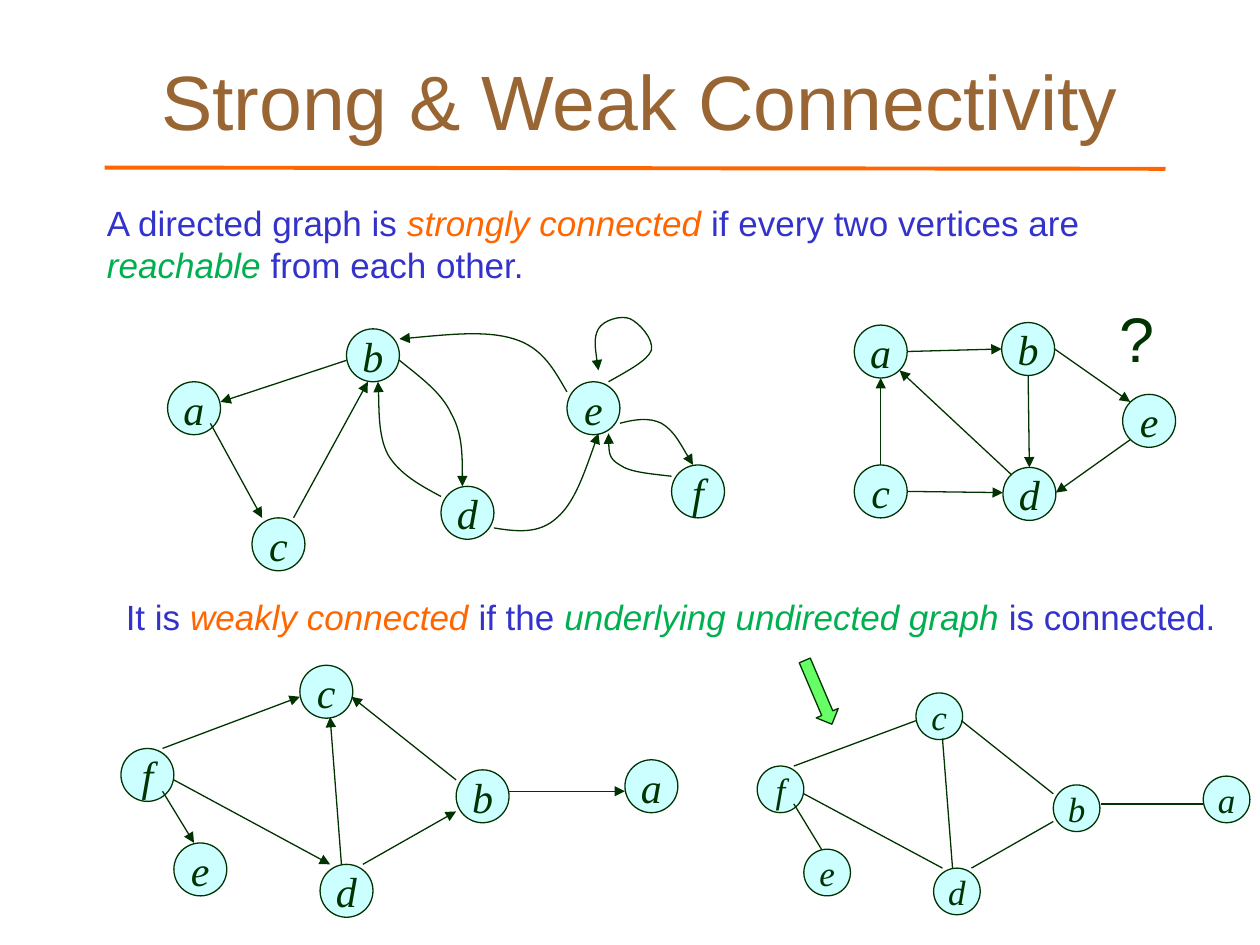
from lxml import etree
from pptx import Presentation
from pptx import util as u
from pptx.dml.color import RGBColor
from pptx.enum import shapes, text
from pptx.oxml.ns import qn

PX = 9144  # EMU per px, 100 px to the inch


class Theme:
    title = RGBColor(0x99, 0x66, 0x33)
    accent = RGBColor(0xFF, 0x66, 0x00)
    body = RGBColor(0x33, 0x33, 0xCC)
    term = RGBColor(0x00, 0xB0, 0x50)
    ink = RGBColor(0x00, 0x33, 0x00)
    node = RGBColor(0xCC, 0xFF, 0xFF)
    pointer = RGBColor(0x66, 0xFF, 0x66)
    sans, serif = "Arial", "Times New Roman"
    title_size, mark_size, node_size, body_size = 44, 36, 24, 20
    thin, thick = 0.75, 2.25


def write(frame, paragraphs, size, font=Theme.sans, align=text.PP_ALIGN.LEFT,
          anchor=text.MSO_ANCHOR.TOP, wrap=False, fit=text.MSO_AUTO_SIZE.NONE):
    """Fill a text frame; each paragraph is a list of (words, colour, italic)."""
    frame.word_wrap, frame.auto_size, frame.vertical_anchor = wrap, fit, anchor
    for index, spans in enumerate(paragraphs):
        para = frame.add_paragraph() if index else frame.paragraphs[0]
        para.alignment = align
        for words, color, italic in spans:
            span = para.add_run()
            span.text = words
            span.font.size, span.font.name = u.Pt(size), font
            span.font.color.rgb, span.font.italic = color, italic


def stroke(shape, color=Theme.ink, width=Theme.thin, arrow=False):
    """Set the outline, drop the shadow and add an optional arrowhead at the end."""
    shape.line.color.rgb = color
    shape.line.width = u.Pt(width)
    properties = shape._element.spPr
    if arrow:
        etree.SubElement(properties.find(qn("a:ln")), qn("a:tailEnd"), type="triangle")
    etree.SubElement(properties, qn("a:effectLst"))


deck = Presentation()
deck.slide_width, deck.slide_height = 1000 * PX, 750 * PX
page = deck.slides.add_slide(deck.slide_layouts[5])

# Title and rule
title = page.shapes.title
title.left, title.top, title.width, title.height = (v * PX for v in (83, 17, 850, 125))
write(title.text_frame, [[("Strong & Weak Connectivity", Theme.title, False)]],
      Theme.title_size, align=text.PP_ALIGN.CENTER,
      anchor=text.MSO_ANCHOR.MIDDLE, wrap=True)
rule = page.shapes.add_connector(shapes.MSO_CONNECTOR.STRAIGHT,
                                 83 * PX, 133 * PX, 925 * PX, 134 * PX)
stroke(rule, Theme.accent, Theme.thick)

# Definitions and question mark
statements = [
    ((75, 155, 799, 77), Theme.body_size, [
        [("A directed graph is ", Theme.body, False),
         ("strongly connected", Theme.accent, True),
         (" if every two vertices are", Theme.body, False)],
        [("reachable", Theme.term, True),
         (" from each other.", Theme.body, False)]]),
    ((90, 468, 890, 43), Theme.body_size, [
        [("It is ", Theme.body, False),
         ("weakly connected", Theme.accent, True),
         (" if the ", Theme.body, False),
         ("underlying undirected graph", Theme.term, True),
         (" is connected.", Theme.body, False)]]),
    ((879, 233, 48, 71), Theme.mark_size, [[("?", Theme.ink, False)]]),
]
for place, size, paragraphs in statements:
    box = page.shapes.add_textbox(*(v * PX for v in place))
    write(box.text_frame, paragraphs, size, fit=text.MSO_AUTO_SIZE.SHAPE_TO_FIT_TEXT)

# Graphs: vertices by top-left corner, edges by end points,
# curves by a start point followed by Bezier triples
strong = dict(
    vertices={"c": (200, 411), "d": (350, 386), "a": (133, 303),
              "f": (533, 369), "e": (450, 303), "b": (275, 261)},
    edges=[(275, 286, 175, 319), (167, 336, 208, 411), (233, 411, 292, 303)],
    curves=[
        [(350, 394), (333, 385), (317, 376), (308, 361), (300, 346), (301, 312), (300, 303)],
        [(317, 286), (333, 299), (350, 311), (358, 328), (367, 344), (367, 365), (367, 386)],
        [(392, 419), (410, 422), (428, 424), (442, 411), (456, 399), (465, 372), (475, 344)],
        [(450, 311), (440, 294), (431, 276), (408, 269), (386, 262), (351, 266), (317, 269)],
        [(533, 378), (517, 376), (500, 375), (492, 369), (483, 364), (483, 354), (483, 344)],
        [(492, 336), (503, 333), (515, 331), (525, 336), (535, 342), (542, 356), (550, 369)],
        [(483, 303), (499, 294), (514, 286), (517, 278), (519, 269), (507, 256), (500, 253),
         (493, 250), (479, 254), (475, 261), (471, 268), (473, 281), (475, 294)],
    ])
weak = dict(
    vertices={"f": (96, 594), "e": (138, 669), "a": (496, 603),
              "d": (254, 686), "c": (238, 528), "b": (362, 611)},
    edges=[(129, 628, 154, 669), (129, 594, 238, 553), (138, 619, 262, 686),
           (362, 619, 279, 553), (404, 628, 496, 628), (288, 686, 362, 644),
           (271, 686, 262, 569)])
puzzle = dict(
    vertices={"a": (678, 258), "b": (795, 256), "c": (678, 369),
              "d": (796, 371), "e": (891, 313)},
    edges=[(720, 279, 795, 277), (837, 277, 897, 319), (897, 349, 838, 391),
           (699, 369, 699, 300), (720, 390, 796, 391), (803, 377, 714, 294),
           (816, 298, 817, 371)])

# The undirected graph is the weak one, shrunk and shifted
SHRINK = 0.885
corner, target = weak["vertices"]["f"], (601, 608)
undirected = dict(
    vertices={name: [round(target[i] + (v - corner[i]) * SHRINK) for i, v in enumerate(at)]
              for name, at in weak["vertices"].items()},
    edges=[[round(target[i % 2] + (v - corner[i % 2]) * SHRINK) for i, v in enumerate(ends)]
           for ends in weak["edges"]],
    diameter=37, size=Theme.body_size, directed=False)

for graph in (strong, weak, puzzle, undirected):
    group = page.shapes.add_group_shape()
    diameter = graph.get("diameter", 42)
    directed = graph.get("directed", True)
    for name, (left, top) in graph["vertices"].items():
        vertex = group.shapes.add_shape(shapes.MSO_SHAPE.OVAL, left * PX, top * PX,
                                        diameter * PX, diameter * PX)
        vertex.fill.solid()
        vertex.fill.fore_color.rgb = Theme.node
        stroke(vertex)
        write(vertex.text_frame, [[(name, Theme.ink, True)]],
              graph.get("size", Theme.node_size), Theme.serif,
              text.PP_ALIGN.CENTER, text.MSO_ANCHOR.MIDDLE)
    for ends in graph["edges"]:
        edge = group.shapes.add_connector(shapes.MSO_CONNECTOR.STRAIGHT,
                                          *(v * PX for v in ends))
        stroke(edge, arrow=directed)
    for points in graph.get("curves", []):
        builder = group.shapes.build_freeform(*points[0], scale=PX)
        builder.add_line_segments(points[1:], close=False)
        curve = builder.convert_to_shape()
        curve.fill.background()
        stroke(curve, arrow=directed)
        # Merge each three line segments into one Bezier segment
        outline = curve._element.spPr.find(".//" + qn("a:path"))
        segments = outline.findall(qn("a:lnTo"))
        for start in range(0, len(segments), 3):
            bezier = etree.SubElement(outline, qn("a:cubicBezTo"))
            for segment in segments[start:start + 3]:
                bezier.append(segment[0])
                outline.remove(segment)

# Pointer to the undirected graph
pointer = page.shapes.add_shape(shapes.MSO_SHAPE.RIGHT_ARROW,
                                622 * PX, 540 * PX, 55 * PX, 19 * PX)
pointer.rotation = 66.9
pointer.fill.solid()
pointer.fill.fore_color.rgb = Theme.pointer
stroke(pointer)

deck.save("out.pptx")
